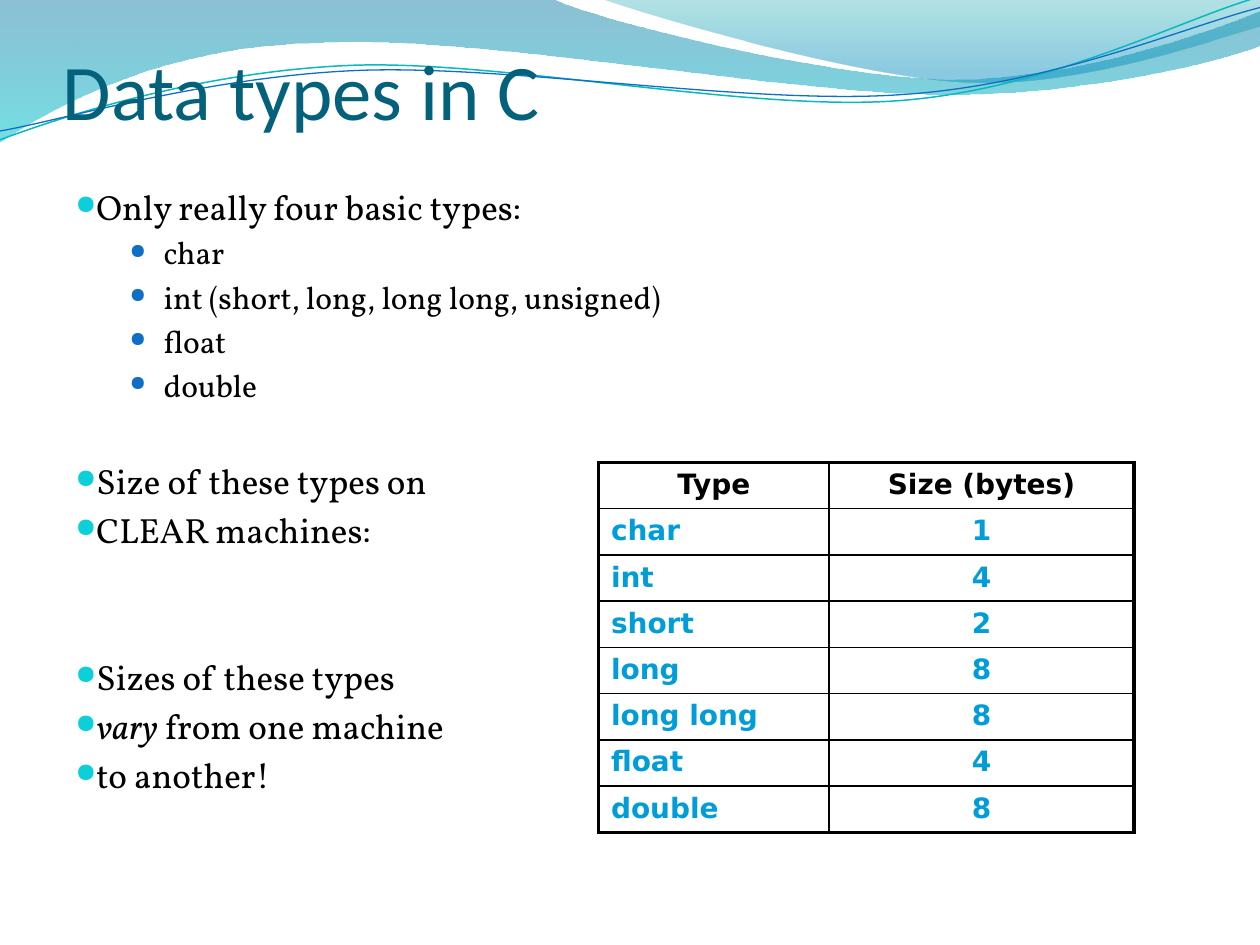
from pptx import Presentation
from pptx.dml.color import RGBColor
from pptx.enum.text import MSO_ANCHOR, PP_ALIGN
from pptx.oxml.ns import qn
from pptx.util import Inches, Pt
from lxml.etree import SubElement

# Each path is a start point, then lines (x, y) and cubic curves (x1, y1, x2, y2, x, y).
LEFT_WAVE = [
    (0, 0), (4.4, 0), (4.76, 0.17, 6.64, 0.63, 7.58, 0.63), (8.53, 0.63, 9.58, 0.26, 10, 0.09),
    (10.01, 0.36), (9.83, 0.44, 8.7, 0.76, 7.46, 0.75), (6.22, 0.75, 3.82, 0.28, 2.57, 0.34),
    (1.29, 0.36, 0.46, 0.83, -0.01, 1.13),
]
RIGHT_WAVE = [
    (4.79, 0), (5.09, 0.11, 6.82, 0.62, 7.69, 0.65), (8.56, 0.69, 9.61, 0.32, 10, 0.21), (10, 0),
]
TEAL_LINE = [
    (0, 1.11), (0.48, 0.93, 1.58, 0.57, 2.77, 0.52), (3.95, 0.47, 5.93, 0.89, 7.13, 0.8),
    (8.33, 0.71, 9.38, 0.15, 9.98, -0.02),
]
BLUE_LINE = [
    (0, 1.04), (0.47, 0.96, 1.64, 0.61, 2.83, 0.56), (4.03, 0.51, 5.97, 0.84, 7.17, 0.75),
    (8.36, 0.67, 9.41, 0.21, 10, 0.06),
]

# Level, space before in points, then (text, italic) runs.
BODY = [
    (0, 0, [("Only really four basic types:", False)]),
    (1, 3.6, [("char", False)]),
    (1, 3.6, [("int (short, long, long long, unsigned)", False)]),
    (1, 3.6, [("float", False)]),
    (1, 3.6, [("double", False)]),
    (0, 32, [("Size of these types on", False)]),
    (0, 4, [("CLEAR machines:", False)]),
    (0, 60, [("Sizes of these types", False)]),
    (0, 4, [("vary", True), (" from one machine", False)]),
    (0, 4, [("to another!", False)]),
]
LEVELS = [
    {"size": 20, "margin": 0.16, "hanging": 0.16, "bullet": "0BD0D9", "percent": 76},
    {"size": 18, "margin": 0.7, "hanging": 0.27, "bullet": "0F6FC6", "percent": 66},
]
TYPE_SIZES = [
    ("Type", "Size (bytes)"), ("char", "1"), ("int", "4"), ("short", "2"),
    ("long", "8"), ("long long", "8"), ("float", "4"), ("double", "8"),
]


def color(value):
    return RGBColor.from_string(value)


def set_values(target, values):
    for name, value in values.items():
        setattr(target, name, value)


def add_path(slide, path, close):
    """Build a freeform through all path points, then join curve points into cubic curves."""
    points = [(Inches(segment[i]), Inches(segment[i + 1]))
              for segment in path for i in range(0, len(segment), 2)]
    builder = slide.shapes.build_freeform(*points[0])
    builder.add_line_segments(points[1:], close=close)
    shape = builder.convert_to_shape()
    shape.shadow.inherit = False
    lines = iter(list(shape._element.iter(qn("a:lnTo"))))
    for segment in path[1:]:
        line = next(lines)
        if len(segment) == 2:
            continue
        curve = line.makeelement(qn("a:cubicBezTo"), {})
        line.addprevious(curve)
        for part in (line, next(lines), next(lines)):
            curve.append(part[0])
            part.getparent().remove(part)
    return shape


def add_wave(slide, path, stops):
    """Fill a closed path downwards with (position, colour, opacity percent) stops."""
    shape = add_path(slide, path, True)
    shape.line.fill.background()
    shape.fill.gradient()
    shape.fill.gradient_angle = 270
    for stop, (position, value, _) in zip(shape.fill.gradient_stops, stops):
        stop.position = position
        stop.color.rgb = color(value)
    tags = list(shape._element.spPr.iter(qn("a:srgbClr")))
    for tag, (_, _, opacity) in zip(tags, stops):
        SubElement(tag, qn("a:alpha"), val=str(opacity * 1000))


def add_wavy_line(slide, path, value, width):
    shape = add_path(slide, path, False)
    shape.fill.background()
    shape.line.color.rgb = color(value)
    shape.line.width = Pt(width)


def add_run(paragraph, text, value, **font):
    run = paragraph.add_run()
    run.text = text
    set_values(run.font, font)
    run.font.color.rgb = color(value)


def add_text_frame(slide, left, top, width, height, **frame):
    box = slide.shapes.add_textbox(Inches(left), Inches(top), Inches(width), Inches(height))
    set_values(box.text_frame, {"word_wrap": True, **frame})
    return box.text_frame


def add_title(slide, text):
    frame = add_text_frame(slide, 0.5, 0.3, 9, 0.78, vertical_anchor=MSO_ANCHOR.BOTTOM,
                           margin_left=0, margin_right=0, margin_bottom=0)
    add_run(frame.paragraphs[0], text, "04617B", name="Calibri", size=Pt(45))


def set_bullet(paragraph, level):
    properties = paragraph._p.get_or_add_pPr()
    properties.set("marL", str(Inches(level["margin"])))
    properties.set("indent", str(-Inches(level["hanging"])))
    bullet_color = SubElement(properties, qn("a:buClr"))
    SubElement(bullet_color, qn("a:srgbClr"), val=level["bullet"])
    SubElement(properties, qn("a:buSzPct"), val=str(level["percent"] * 1000))
    SubElement(properties, qn("a:buChar"), char="●")


def add_body(slide):
    frame = add_text_frame(slide, 0.5, 1.42, 7.17, 5.28)
    for index, (depth, space, runs) in enumerate(BODY):
        paragraph = frame.add_paragraph() if index else frame.paragraphs[0]
        level = LEVELS[depth]
        set_values(paragraph, {"level": depth, "space_before": Pt(space)})
        set_bullet(paragraph, level)
        for text, italic in runs:
            add_run(paragraph, text, "000000", name="Vollkorn", size=Pt(level["size"]),
                    italic=italic)


def set_borders(cell, widths):
    properties = cell._tc.get_or_add_tcPr()
    for index, (side, width) in enumerate(widths.items()):
        line = properties.makeelement(qn(f"a:ln{side}"), {"w": str(Pt(width))})
        fill = SubElement(line, qn("a:solidFill"))
        SubElement(fill, qn("a:srgbClr"), val="000000")
        properties.insert(index, line)


def add_type_table(slide):
    last_row = len(TYPE_SIZES) - 1
    frame = slide.shapes.add_table(len(TYPE_SIZES), 2, Inches(4.75), Inches(3.67),
                                   Inches(4.25), Inches(2.93))
    table = frame.table
    set_values(table, {"first_row": False, "horz_banding": False})
    for column, width in zip(table.columns, (1.83, 2.42)):
        column.width = Inches(width)
    for row, texts in enumerate(TYPE_SIZES):
        for column, text in enumerate(texts):
            cell = table.cell(row, column)
            cell.fill.background()
            paragraph = cell.text_frame.paragraphs[0]
            centred = row == 0 or column == 1
            paragraph.alignment = PP_ALIGN.CENTER if centred else PP_ALIGN.LEFT
            add_run(paragraph, text, "009DD9" if row else "000000",
                    name="DejaVu Sans", size=Pt(16), bold=True)
            outer = {"L": column == 0, "R": column == 1, "T": row == 0, "B": row == last_row}
            set_borders(cell, {side: 2.25 if edge else 1 for side, edge in outer.items()})


def main():
    presentation = Presentation()
    set_values(presentation, {"slide_width": Inches(10), "slide_height": Inches(7.5)})
    slide = presentation.slides.add_slide(presentation.slide_layouts[6])
    add_wave(slide, LEFT_WAVE, [(0, "0074A1", 45), (1, "00C6CF", 55)])
    add_wave(slide, RIGHT_WAVE, [(0, "00A1A9", 30), (0.8, "008BBF", 45)])
    add_wavy_line(slide, TEAL_LINE, "0AB8BF", 0.85)
    add_wavy_line(slide, BLUE_LINE, "0F6FC6", 0.75)
    add_title(slide, "Data types in C")
    add_body(slide)
    add_type_table(slide)
    presentation.save("out.pptx")


if __name__ == "__main__":
    main()
